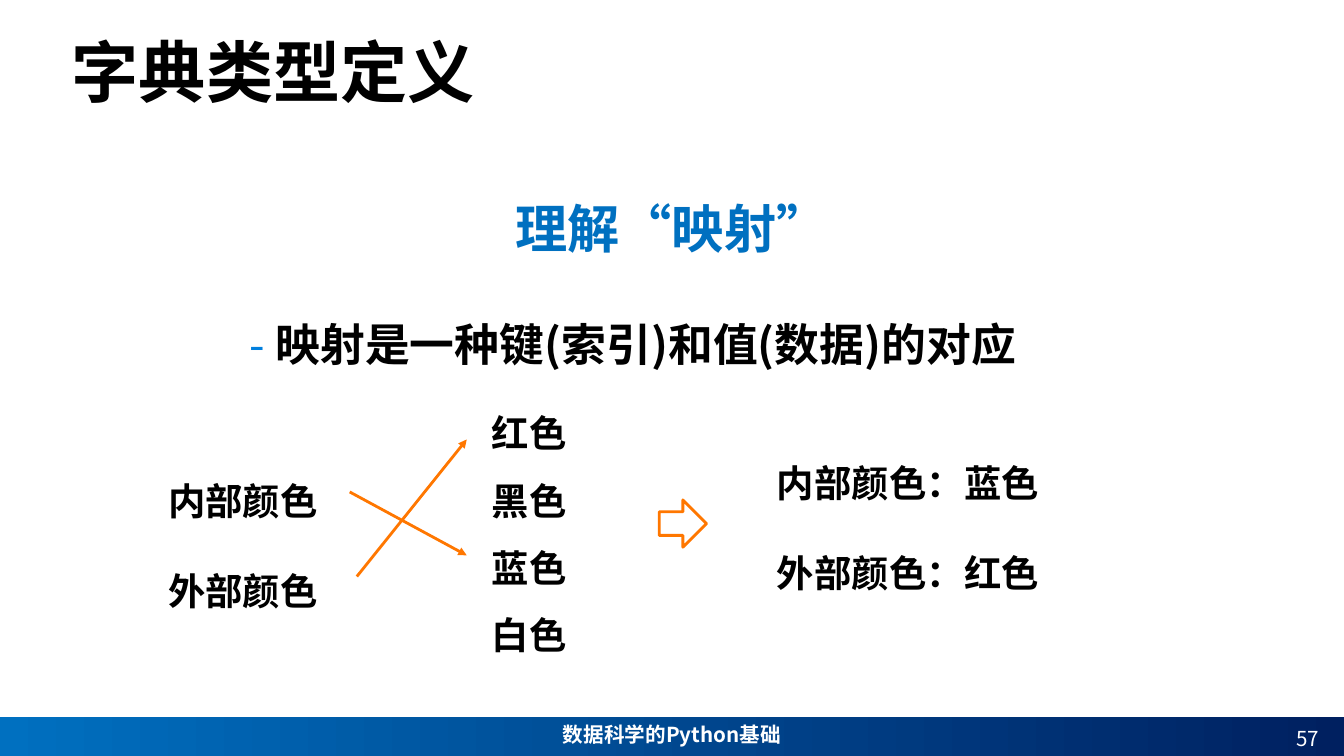
from lxml.etree import SubElement
from pptx import Presentation
from pptx.dml.color import RGBColor
from pptx.enum.shapes import MSO_CONNECTOR, MSO_SHAPE
from pptx.enum.text import MSO_ANCHOR, MSO_AUTO_SIZE, PP_ALIGN
from pptx.oxml.ns import qn
from pptx.util import Pt

FONT = "Noto Sans CJK SC"
BLACK, WHITE, ORANGE = "000000", "FFFFFF", "FF7700"
BLUE, DASH_BLUE, NAVY = "0070C0", "007FDE", "002060"
SLIDE_WIDTH, SLIDE_HEIGHT, FOOTER_TOP = 960, 540, 511.9

TITLE = "字典类型定义"
HEADING = "理解“映射”"
DEFINITION = [("- ", DASH_BLUE, False), ("映射是一种键(索引)和值(数据)的对应", BLACK, True)]
KEYS = ["内部颜色", "外部颜色"]
VALUES = ["红色", "黑色", "蓝色", "白色"]
PAIRS = {"内部颜色": "蓝色", "外部颜色": "红色"}
FOOTER = "数据科学的Python基础"
PAGE = "57"
MAPPING_LINES = [((249.8, 351.4), (333.4, 396.7)), ((254.9, 411.8), (333.4, 313.9))]


def color(hex_code):
    return RGBColor.from_string(hex_code)


def write(holder, lines, size=26.7, ink=BLACK, bold=True, align=PP_ALIGN.LEFT,
          spacing=1.0, anchor=MSO_ANCHOR.TOP, insets=(7.2, 3.6)):
    frame = holder.text_frame
    frame.word_wrap = True
    frame.auto_size = MSO_AUTO_SIZE.NONE
    frame.vertical_anchor = anchor
    frame.margin_left = frame.margin_right = Pt(insets[0])
    frame.margin_top = frame.margin_bottom = Pt(insets[1])
    for index, line in enumerate(lines):
        paragraph = frame.add_paragraph() if index else frame.paragraphs[0]
        paragraph.alignment = align
        paragraph.line_spacing = spacing
        paragraph.space_before = Pt(0)
        pieces = [(line, ink, bold)] if isinstance(line, str) else line
        for words, piece_ink, piece_bold in pieces:
            run = paragraph.add_run()
            run.text = words
            run.font.size = Pt(size)
            run.font.bold = piece_bold
            run.font.name = FONT
            run.font.color.rgb = color(piece_ink)
            SubElement(run.font._element, qn("a:ea"), typeface=FONT)


def place(holder, *box):
    holder.left, holder.top, holder.width, holder.height = map(Pt, box)


def add_text(slide, box, lines, **style):
    write(slide.shapes.add_textbox(*map(Pt, box)), lines, **style)


def add_mapping(slide, start, end):
    mapping = slide.shapes.add_connector(MSO_CONNECTOR.STRAIGHT, *map(Pt, start + end))
    mapping.line.color.rgb = color(ORANGE)
    mapping.line.width = Pt(2)
    SubElement(mapping.line._get_or_add_ln(), qn("a:tailEnd"), type="triangle")
    SubElement(mapping._element.spPr, qn("a:effectLst"))


def add_footer(slide):
    bar = slide.shapes.add_shape(
        MSO_SHAPE.RECTANGLE, Pt(0), Pt(FOOTER_TOP), Pt(SLIDE_WIDTH), Pt(SLIDE_HEIGHT - FOOTER_TOP))
    bar.shadow.inherit = False
    bar.line.fill.background()
    bar.fill.gradient()
    bar.fill.gradient_angle = 0
    for stop, position, shade in zip(bar.fill.gradient_stops, (0, 1), (BLUE, NAVY)):
        stop.position = position
        stop.color.rgb = color(shade)
    add_text(slide, (735.8, FOOTER_TOP, 216, 31), [PAGE], size=14.7, ink=WHITE, bold=False,
             align=PP_ALIGN.RIGHT, anchor=MSO_ANCHOR.MIDDLE, insets=(9.6, 4.8))
    add_text(slide, (0, FOOTER_TOP, SLIDE_WIDTH, 25.2), [FOOTER], size=14.7, ink=WHITE,
             align=PP_ALIGN.CENTER)


def main():
    deck = Presentation()
    deck.slide_width, deck.slide_height = Pt(SLIDE_WIDTH), Pt(SLIDE_HEIGHT)
    slide = deck.slides.add_slide(deck.slide_layouts[5])

    add_footer(slide)
    title = slide.shapes.title
    place(title, 49, 3.6, 910.8, 77.8)
    write(title, [TITLE], size=48, anchor=MSO_ANCHOR.BOTTOM, insets=(2.2, 2.2))
    add_text(slide, (0, 138.2, SLIDE_WIDTH, 49), [HEADING], size=37.3, ink=BLUE,
             align=PP_ALIGN.CENTER, insets=(2.2, 2.2))
    add_text(slide, (171.4, 184.3, 788.6, 73.4), [DEFINITION], size=32, spacing=2.0)

    add_text(slide, (113, 306, 136, 126.7), KEYS, spacing=2.0)
    add_text(slide, (344.2, 273.6, 82.8, 195), VALUES, spacing=1.5)
    for start, end in MAPPING_LINES:
        add_mapping(slide, start, end)
    add_text(slide, (547.9, 293, 283.7, 126.7),
             [f"{key}：{value}" for key, value in PAIRS.items()], spacing=2.0)

    result_arrow = slide.shapes.add_shape(
        MSO_SHAPE.RIGHT_ARROW, Pt(470.9), Pt(357.1), Pt(33.8), Pt(33.8))
    result_arrow.shadow.inherit = False
    result_arrow.fill.background()
    result_arrow.line.color.rgb = color(ORANGE)
    result_arrow.line.width = Pt(2)

    deck.save("out.pptx")


if __name__ == "__main__":
    main()
